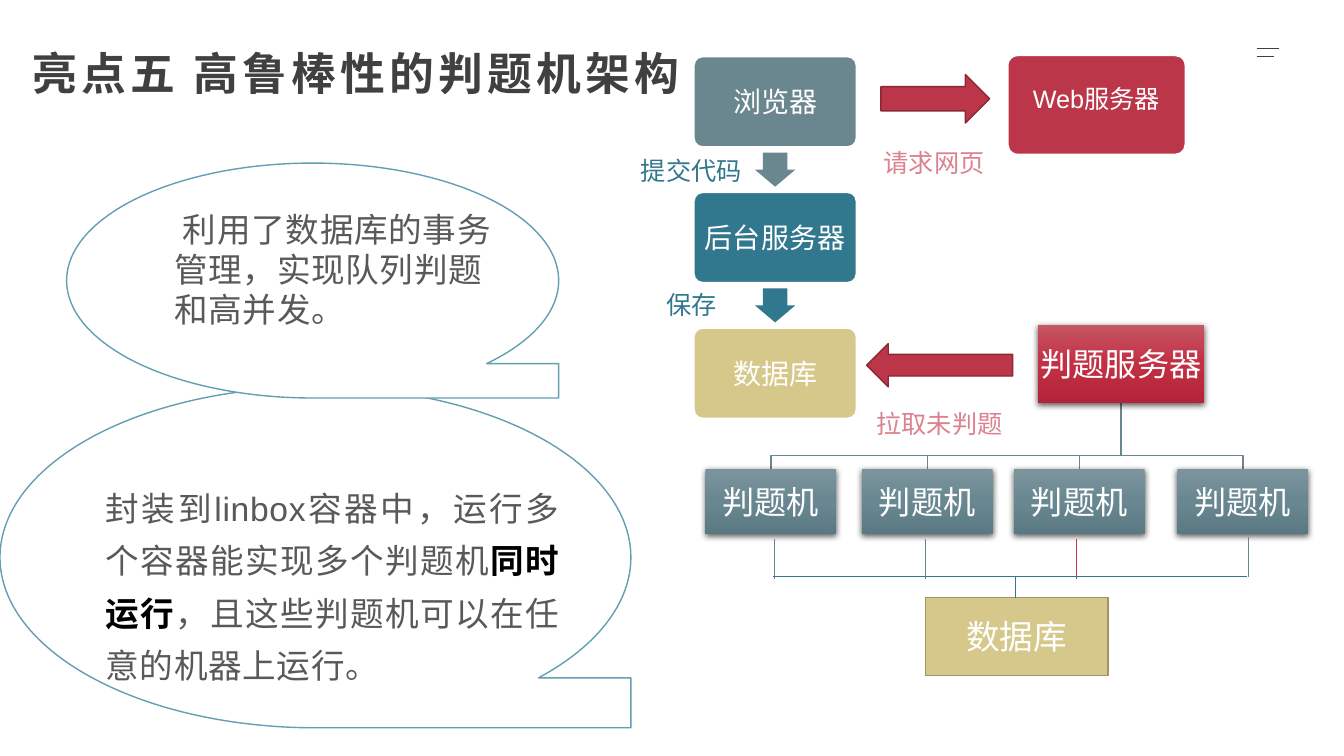
from lxml import etree
from pptx import Presentation
from pptx.dml.color import RGBColor
from pptx.enum.shapes import MSO_CONNECTOR, MSO_SHAPE
from pptx.enum.text import MSO_ANCHOR, PP_ALIGN
from pptx.oxml.ns import qn
from pptx.util import Cm, Pt

TAPE = MSO_SHAPE.FLOWCHART_SEQUENTIAL_ACCESS_STORAGE
ROUNDED = MSO_SHAPE.ROUNDED_RECTANGLE
RECT = MSO_SHAPE.RECTANGLE
DOWN, LEFT, RIGHT = MSO_SHAPE.DOWN_ARROW, MSO_SHAPE.LEFT_ARROW, MSO_SHAPE.RIGHT_ARROW
STRAIGHT = MSO_CONNECTOR.STRAIGHT
TOP, MIDDLE = MSO_ANCHOR.TOP, MSO_ANCHOR.MIDDLE
ALIGN_LEFT, CENTER, JUSTIFY = PP_ALIGN.LEFT, PP_ALIGN.CENTER, PP_ALIGN.JUSTIFY

WHITE = RGBColor(0xFF, 0xFF, 0xFF)
BLACK = RGBColor(0, 0, 0)
DARK = RGBColor(0x40, 0x40, 0x40)
GREY = RGBColor(0x59, 0x59, 0x59)
SKY = RGBColor(0x64, 0x9E, 0xB2)
SLATE = RGBColor(0x6A, 0x86, 0x8F)
TEAL = RGBColor(0x31, 0x77, 0x8D)
SAND = RGBColor(0xD6, 0xC8, 0x8B)
SAND_EDGE = RGBColor(0x9E, 0x94, 0x67)
RED = RGBColor(0xBC, 0x36, 0x49)
RED_EDGE = RGBColor(0x8B, 0x28, 0x36)
PINK = RGBColor(0xDB, 0x82, 0x8F)
RED_FADE = ("C65763", "C32F44", "B32438")
SLATE_FADE = ("7C949C", "688791", "5B7982")
LATIN, CJK = "Arial", "Noto Sans CJK SC"

TITLE = "亮点五 高鲁棒性的判题机架构"
QUEUE_POINT = "利用了数据库的事务管理，实现队列判题和高并发。"
CONTAINER_POINT = [
    ("封装到linbox容器中，运行多个容器能实现多个判题机", GREY, False, LATIN),
    ("同时运行", BLACK, True, CJK),
    ("，且这些判题机可以在任意的机器上运行。", GREY, False, LATIN),
]
TAPES = [(0, 9.75, 15.9, 8.59), (1.68, 4.11, 12.4, 5.92)]
STAGES = [("浏览器", SLATE), ("后台服务器", TEAL), ("数据库", SAND)]
STAGE_LEFT, STAGE_TOP, STAGE_W, STAGE_H, STAGE_PITCH = 17.48, 1.42, 4.11, 2.29, 3.42
STEP_W, STEP_H = 1.02, 0.86
LABELS = [
    ("提交代码", 15.9, 3.78, 3.05, TEAL),
    ("保存", 16.54, 7.16, 1.78, TEAL),
    ("拉取未判题", 21.84, 10.16, 3.68, PINK),
    ("请求网页", 22.02, 3.58, 3.05, PINK),
]
RED_ARROWS = [(LEFT, 21.84, 8.66, 3.68, 1.09), (RIGHT, 22.2, 1.88, 2.74, 1.22)]
JUDGE_LEFTS = [17.78, 21.72, 25.55, 29.67]
JUDGE_TOP, JUDGE_W, JUDGE_H = 11.82, 3.3, 1.65
HOST = (26.16, 8.18, 4.19, 1.98)
BRANCH_Y = 11.48
BUS_Y = 14.53
STORE = (23.32, 15.06, 4.6, 1.96)
WIRES = [
    (19.51, 13.59, 19.51, 14.6, SLATE, 0.5),
    (23.32, 13.59, 23.32, 14.6, SLATE, 0.5),
    (27.13, 13.59, 27.13, 14.6, RED, 0.5),
    (31.45, 13.54, 31.45, 14.55, SLATE, 0.5),
    (19.48, BUS_Y, 31.42, BUS_Y, TEAL, 0.5),
    (25.6, STORE[1], 25.6, BUS_Y, TEAL, 0.5),
    (31.67, 1.22, 32.23, 1.22, DARK, 1),
    (31.67, 1.42, 32.1, 1.42, DARK, 1),
]

prs = Presentation()
prs.slide_width, prs.slide_height = Cm(33.87), Cm(19.05)
slide = prs.slides.add_slide(prs.slide_layouts[6])
shapes = slide.shapes


def add_run(paragraph, text, size, color, bold=False, latin=LATIN, spacing=0):
    run = paragraph.add_run()
    run.text = text
    font = run.font
    font.size, font.bold, font.name = Pt(size), bold, latin
    font.color.rgb = color
    props = run._r.get_or_add_rPr()
    props.set("spc", str(round(spacing * 100)))
    etree.SubElement(props, qn("a:ea")).set("typeface", CJK)


def prepare(shape, align, anchor, insets, wrap=True):
    frame = shape.text_frame
    frame.word_wrap, frame.vertical_anchor = wrap, anchor
    (frame.margin_left, frame.margin_top,
     frame.margin_right, frame.margin_bottom) = map(Cm, insets)
    paragraph = frame.paragraphs[0]
    paragraph.alignment = align
    return paragraph


def add_textbox(box, align=ALIGN_LEFT, insets=(0.2, 0.1, 0.2, 0.1), wrap=True):
    return prepare(shapes.add_textbox(*map(Cm, box)), align, TOP, insets, wrap)


def add_block(kind, box, fill=None, edge=None, width=1.0):
    block = shapes.add_shape(kind, *map(Cm, box))
    block.shadow.inherit = False
    if fill is not None:
        block.fill.solid()
        block.fill.fore_color.rgb = fill
    if edge is None:
        block.line.fill.background()
    else:
        block.line.color.rgb = edge
        block.line.width = Pt(width)
    return block


def caption(block, text, size):
    add_run(prepare(block, CENTER, MIDDLE, (0, 0, 0, 0)), text, size, WHITE)


def add_machine(box, text, fade):
    machine = add_block(RECT, box)
    machine.fill.gradient()
    machine.fill.gradient_angle = 270
    props = machine._element.spPr
    stops = props.find(qn("a:gradFill")).find(qn("a:gsLst"))
    for stop in list(stops):
        stops.remove(stop)
    for place, color in zip((0, 50000, 100000), fade):
        stop = etree.SubElement(stops, qn("a:gs"), pos=str(place))
        etree.SubElement(stop, qn("a:srgbClr"), val=color)
    shadow = etree.SubElement(
        props.find(qn("a:effectLst")), qn("a:outerShdw"), blurRad=str(Pt(4.5)),
        dist=str(Pt(1.5)), dir="5400000", algn="ctr", rotWithShape="0")
    shade = etree.SubElement(shadow, qn("a:srgbClr"), val="000000")
    etree.SubElement(shade, qn("a:alpha"), val="63000")
    caption(machine, text, 23)


for tape in TAPES:
    add_block(TAPE, tape, WHITE, SKY)

add_run(add_textbox((0.61, 1.04, 30.48, 1.75)), TITLE, 32, DARK, True, spacing=3)

container = add_textbox((2.46, 11.89, 11.86, 5.3), JUSTIFY)
container.line_spacing = 1.3
for text, color, bold, latin in CONTAINER_POINT:
    add_run(container, text, 24, color, bold, latin, 0.5)

queue = add_textbox((4.14, 5.13, 8.51, 3.33), insets=(0.25, 0.13, 0.25, 0.13))
queue._p.get_or_add_pPr().set("indent", str(Cm(0.22)))
add_run(queue, QUEUE_POINT, 24, GREY, spacing=0.5)

for i, (text, color) in enumerate(STAGES):
    top = STAGE_TOP + i * STAGE_PITCH
    stage = add_block(ROUNDED, (STAGE_LEFT, top, STAGE_W, STAGE_H), color, WHITE, 1.5)
    stage.adjustments[0] = 0.1
    caption(stage, text, 20)
    if i < len(STAGES) - 1:
        gap_middle = top + (STAGE_H + STAGE_PITCH) / 2
        step = add_block(DOWN, (STAGE_LEFT + (STAGE_W - STEP_W) / 2,
                                gap_middle - STEP_H / 2, STEP_W, STEP_H), color)
        step.adjustments[0], step.adjustments[1] = 0.6, 0.5

host_x, host_bottom = HOST[0] + HOST[2] / 2, HOST[1] + HOST[3]
for left in JUDGE_LEFTS:
    judge_x = left + JUDGE_W / 2
    route = shapes.build_freeform(Cm(host_x), Cm(host_bottom))
    turns = [(host_x, BRANCH_Y), (judge_x, BRANCH_Y), (judge_x, JUDGE_TOP)]
    route.add_line_segments([(Cm(x), Cm(y)) for x, y in turns], close=False)
    branch = route.convert_to_shape()
    branch.shadow.inherit = False
    branch.fill.background()
    branch.line.color.rgb = SLATE
    branch.line.width = Pt(1)

add_machine(HOST, "判题服务器", RED_FADE)
for left in JUDGE_LEFTS:
    add_machine((left, JUDGE_TOP, JUDGE_W, JUDGE_H), "判题机", SLATE_FADE)

web = add_block(ROUNDED, (25.4, 1.4, 4.47, 2.49), RED, WHITE)
web.adjustments[0] = 0.1
add_run(prepare(web, ALIGN_LEFT, TOP, (0.56, 0.64, 0.5, 0)), "Web服务器", 18, WHITE)

for text, left, top, width, color in LABELS:
    label = add_textbox((left, top, width, 1.02), insets=(0.25, 0.13, 0.25, 0.13), wrap=False)
    add_run(label, text, 18, color)
for kind, *box in RED_ARROWS:
    add_block(kind, box, RED, RED_EDGE)

caption(add_block(RECT, STORE, SAND, SAND_EDGE), "数据库", 24)

for x1, y1, x2, y2, color, width in WIRES:
    wire = shapes.add_connector(STRAIGHT, Cm(x1), Cm(y1), Cm(x2), Cm(y2))
    wire.line.color.rgb = color
    wire.line.width = Pt(width)
    etree.SubElement(wire._element.spPr, qn("a:effectLst"))

prs.save("out.pptx")
